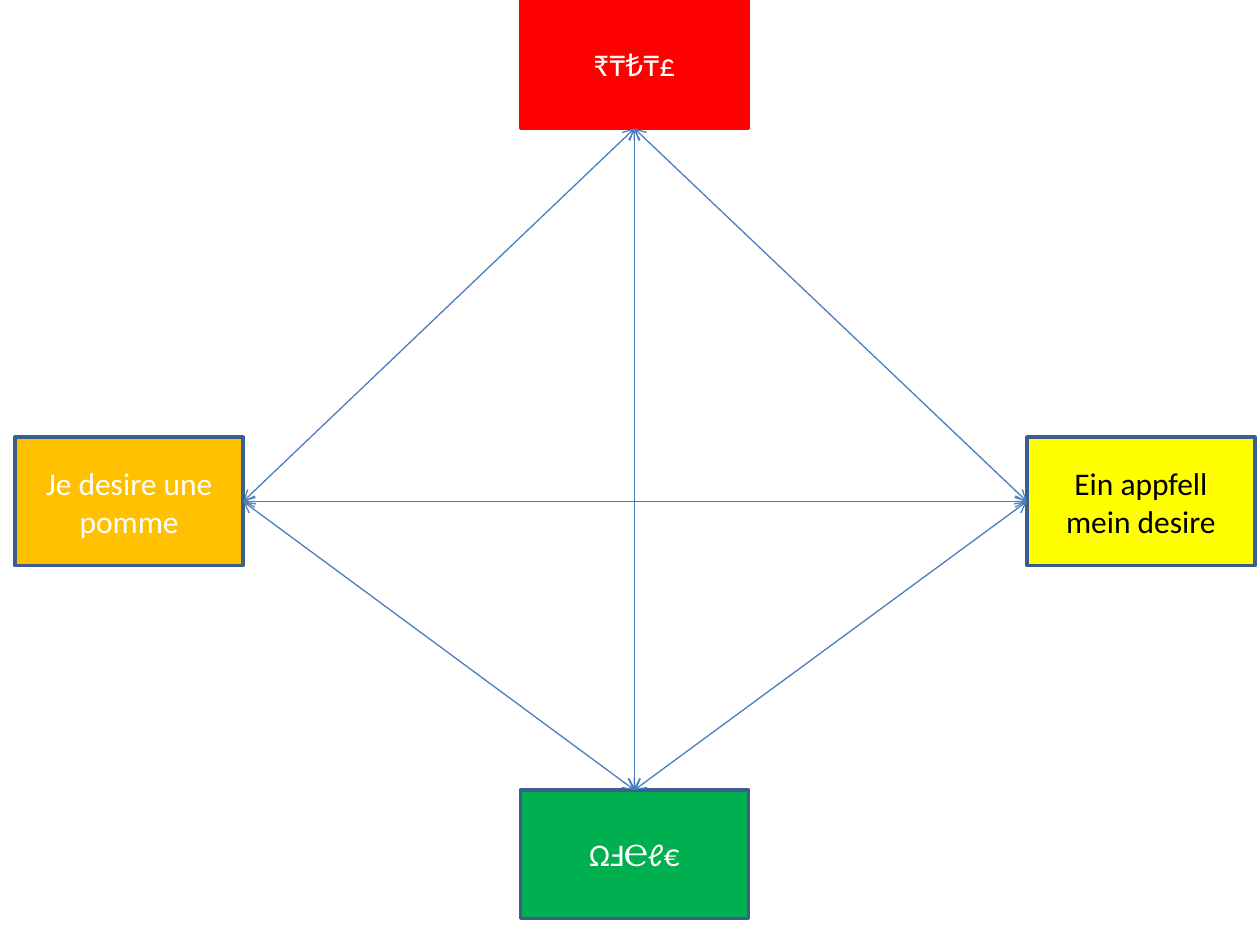
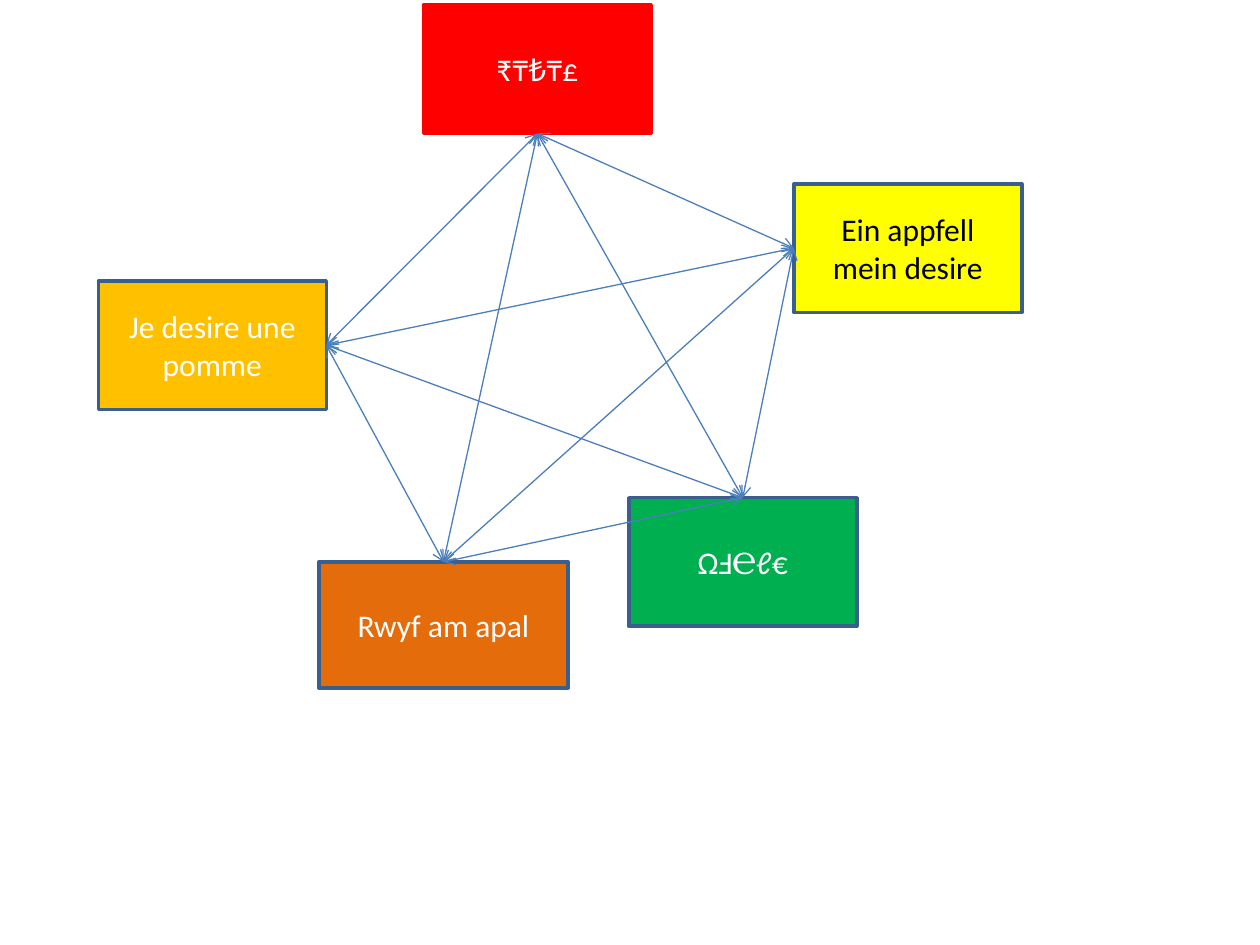
from itertools import combinations

from lxml.etree import SubElement
from pptx import Presentation
from pptx.dml.color import RGBColor
from pptx.enum.shapes import MSO_CONNECTOR as Connector, MSO_SHAPE as Shape
from pptx.enum.text import MSO_ANCHOR as Anchor, PP_ALIGN as Align
from pptx.oxml.ns import qn
from pptx.util import Pt

PX = 9144  # 100 px to the inch
FONT = "Calibri"
WHITE, BLACK = "FFFFFF", "000000"
OUTLINE, ARROW = "3A5F8C", "4B7EBC"

# Connection sites of a rectangle
TOP, LEFT, BOTTOM, RIGHT = range(4)

# Language: text, fill, outline, text colour, site where its arrows meet
PHRASES = {
    "symbols": ("₹₸₺₸£", "FF0000", "FF0000", WHITE, BOTTOM),
    "german": ("Ein appfell mein desire", "FFFF00", OUTLINE, BLACK, LEFT),
    "french": ("Je desire une pomme", "FFC000", OUTLINE, WHITE, RIGHT),
    "letters": ("ΩℲ℮ℓ€", "00B050", OUTLINE, WHITE, TOP),
    "welsh": ("Rwyf am apal", "E46C0A", OUTLINE, WHITE, TOP),
}

# Each slide: language and its box as left, top, width, height
SLIDES = [
    {
        "symbols": (413, 0, 181, 102),
        "german": (815, 347, 181, 102),
        "french": (12, 347, 181, 102),
        "letters": (413, 627, 181, 102),
    },
    {
        "symbols": (336, 4, 181, 102),
        "german": (630, 146, 181, 102),
        "french": (78, 223, 181, 102),
        "letters": (499, 395, 181, 102),
        "welsh": (253, 446, 198, 100),
    },
]


def color(hex_string):
    return RGBColor.from_string(hex_string)


deck = Presentation()
deck.slide_width, deck.slide_height = 1000 * PX, 750 * PX

for layout in SLIDES:
    page = deck.slides.add_slide(deck.slide_layouts[6])

    ends = []
    for language, bounds in layout.items():
        text, fill, outline, text_color, site = PHRASES[language]
        box = page.shapes.add_shape(Shape.RECTANGLE, *(n * PX for n in bounds))
        box.shadow.inherit = False
        box.fill.solid()
        box.fill.fore_color.rgb = color(fill)
        box.line.color.rgb = color(outline)
        box.line.width = Pt(2)

        frame = box.text_frame
        frame.word_wrap = True
        frame.vertical_anchor = Anchor.MIDDLE
        para = frame.paragraphs[0]
        para.text = text
        para.alignment = Align.CENTER
        para.font.name = FONT
        para.font.size = Pt(18)
        para.font.color.rgb = color(text_color)
        ends.append((box, site))

    # Every box is joined to every other by a two-headed arrow
    for start, end in combinations(ends, 2):
        arrow = page.shapes.add_connector(Connector.STRAIGHT, 0, 0, 0, 0)
        arrow.begin_connect(*start)
        arrow.end_connect(*end)
        arrow.line.color.rgb = color(ARROW)
        arrow.line.width = Pt(0.75)
        properties = arrow.element.spPr
        line = properties.find(qn("a:ln"))
        for tip in ("a:headEnd", "a:tailEnd"):
            SubElement(line, qn(tip), type="arrow")
        SubElement(properties, qn("a:effectLst"))

deck.save("out.pptx")
